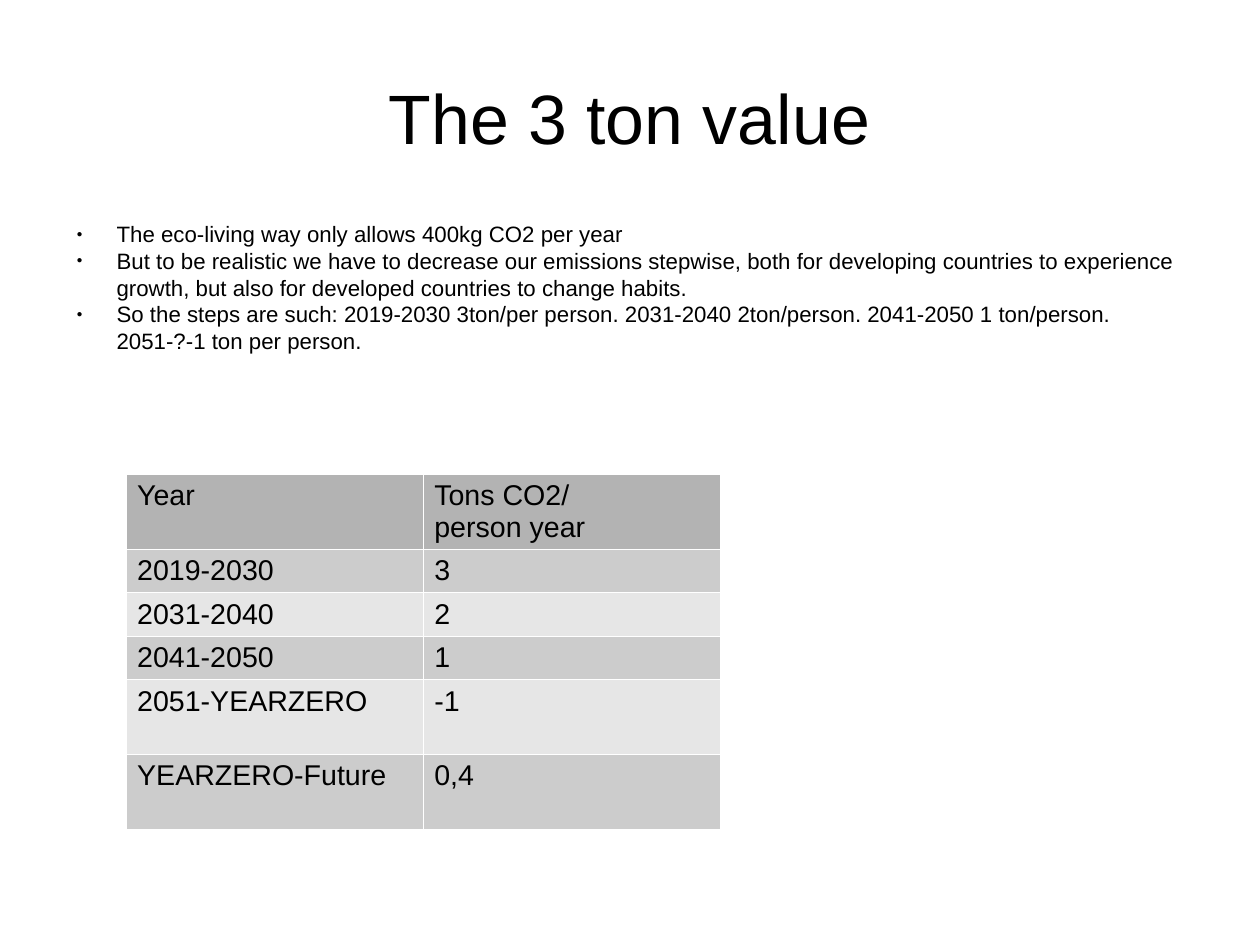
from typing import NamedTuple

from lxml.etree import SubElement
from pptx import Presentation
from pptx.dml.color import RGBColor
from pptx.enum.text import MSO_ANCHOR as Anchor, PP_ALIGN as Align
from pptx.oxml.ns import qn
from pptx.util import Pt

FONT = "Arial"
BLACK, WHITE = "000000", "FFFFFF"
HEADER_FILL, BAND_FILLS = "B3B3B3", ("CCCCCC", "E6E6E6")
PAGE_WIDTH, PAGE_HEIGHT = 793.7, 595.28
MARGIN, CONTENT_WIDTH = 39.6, 714.24


class TextBlock(NamedTuple):
    top: float
    height: float
    size: float
    lines: tuple[str, ...]
    anchor: Anchor = Anchor.TOP
    align: Align = Align.LEFT
    bulleted: bool = False


class YearStep(NamedTuple):
    years: str
    tons: str
    height: float


TITLE = TextBlock(23.76, 99.36, 44, ("The 3 ton value",), Anchor.MIDDLE, Align.CENTER)
STEPS_TEXT = TextBlock(138.96, 344.88, 14, (
    "The eco-living way only allows 400kg CO2 per year",
    "But to be realistic we have to decrease our emissions stepwise, both for "
    "developing countries to experience growth, but also for developed countries "
    "to change habits.",
    "So the steps are such: 2019-2030 3ton/per person. 2031-2040 2ton/person. "
    "2041-2050 1 ton/person. 2051-?-1 ton per person.",
), bulleted=True)

LOW_ROW, TALL_ROW = 27.4, 47.2
YEAR_STEPS = (
    YearStep("Year", "Tons CO2/ \nperson year", TALL_ROW),
    YearStep("2019-2030", "3", LOW_ROW),
    YearStep("2031-2040", "2", LOW_ROW),
    YearStep("2041-2050", "1", LOW_ROW),
    YearStep("2051-YEARZERO", "-1", TALL_ROW),
    YearStep("YEARZERO-Future", "0,4", TALL_ROW),
)
TABLE_LEFT, TABLE_TOP, COLUMN_WIDTH = 79.2, 298.6, 187.2


def colour(value: str) -> RGBColor:
    return RGBColor.from_string(value)


def apply_format(target, values: dict) -> None:
    for name, value in values.items():
        setattr(target, name, value)


def write_lines(frame, lines, size: float) -> None:
    frame.text = "\n".join(lines)
    for para in frame.paragraphs:
        for span in para.runs:
            apply_format(span.font, {"name": FONT, "size": Pt(size)})
            span.font.color.rgb = colour(BLACK)


def add_bullet(para) -> None:
    props = para._p.get_or_add_pPr()
    for name, value in {"marL": Pt(33.84), "indent": Pt(-25.2)}.items():
        props.set(name, str(int(value)))
    bullet_colour = SubElement(props, qn("a:buClr"))
    SubElement(bullet_colour, qn("a:srgbClr"), val=BLACK)
    SubElement(props, qn("a:buSzPct"), val="45000")
    SubElement(props, qn("a:buFont"), typeface=FONT)
    SubElement(props, qn("a:buChar"), char="●")


def add_text(page, block: TextBlock) -> None:
    box = page.shapes.add_textbox(
        Pt(MARGIN), Pt(block.top), Pt(CONTENT_WIDTH), Pt(block.height))
    frame = box.text_frame
    apply_format(frame, {
        "word_wrap": True, "vertical_anchor": block.anchor,
        "margin_left": 0, "margin_right": 0, "margin_top": 0, "margin_bottom": 0,
    })
    write_lines(frame, block.lines, block.size)
    for para in frame.paragraphs:
        para.alignment = block.align
        if block.bulleted:
            add_bullet(para)


def format_cell(cell, text: str, fill: str) -> None:
    # No bottom margin, so the text never stretches a row
    apply_format(cell, {
        "margin_left": Pt(7.2), "margin_right": Pt(7.2),
        "margin_top": Pt(3.6), "margin_bottom": 0,
    })
    write_lines(cell.text_frame, text.split("\n"), 18)
    # Borders come before the fill in the cell properties
    props = cell._tc.get_or_add_tcPr()
    for side in ("lnL", "lnR", "lnT", "lnB"):
        border = SubElement(props, qn(f"a:{side}"), w=str(int(Pt(0.06))))
        border_fill = SubElement(border, qn("a:solidFill"))
        SubElement(border_fill, qn("a:srgbClr"), val=WHITE)
    cell.fill.solid()
    cell.fill.fore_color.rgb = colour(fill)


def add_year_table(page, steps: tuple[YearStep, ...]) -> None:
    table = page.shapes.add_table(
        len(steps), 2, Pt(TABLE_LEFT), Pt(TABLE_TOP), Pt(2 * COLUMN_WIDTH),
        Pt(sum(step.height for step in steps))).table
    apply_format(table, {"first_row": False, "horz_banding": False})
    for column in table.columns:
        column.width = Pt(COLUMN_WIDTH)
    for index, step in enumerate(steps):
        table.rows[index].height = Pt(step.height)
        fill = BAND_FILLS[(index - 1) % 2] if index else HEADER_FILL
        for column, text in enumerate((step.years, step.tons)):
            format_cell(table.cell(index, column), text, fill)


deck = Presentation()
apply_format(deck, {"slide_width": Pt(PAGE_WIDTH), "slide_height": Pt(PAGE_HEIGHT)})
page = deck.slides.add_slide(deck.slide_layouts[6])

# Title and bulleted explanation
for block in (TITLE, STEPS_TEXT):
    add_text(page, block)

# Allowed emissions by period
add_year_table(page, YEAR_STEPS)

deck.save("out.pptx")
